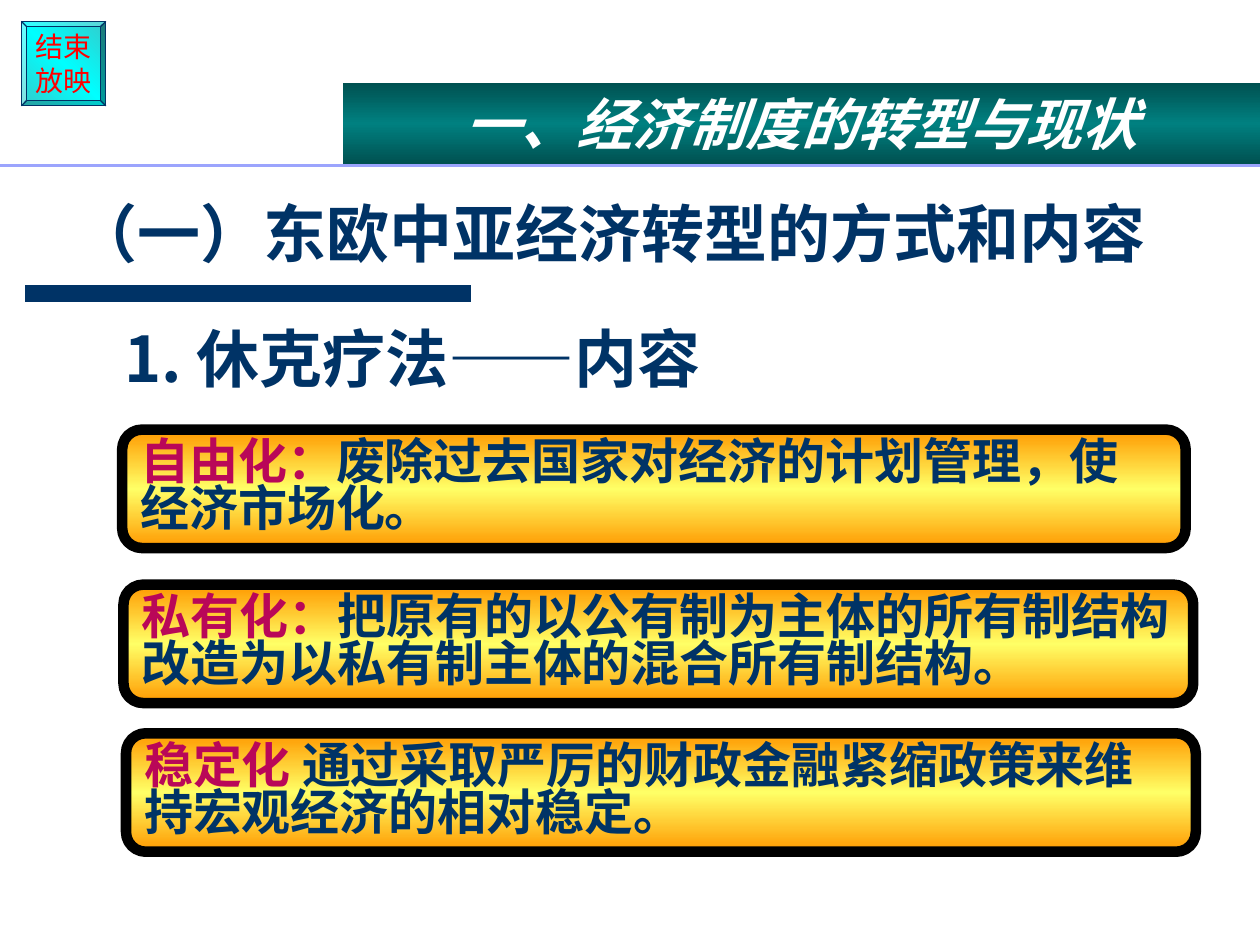
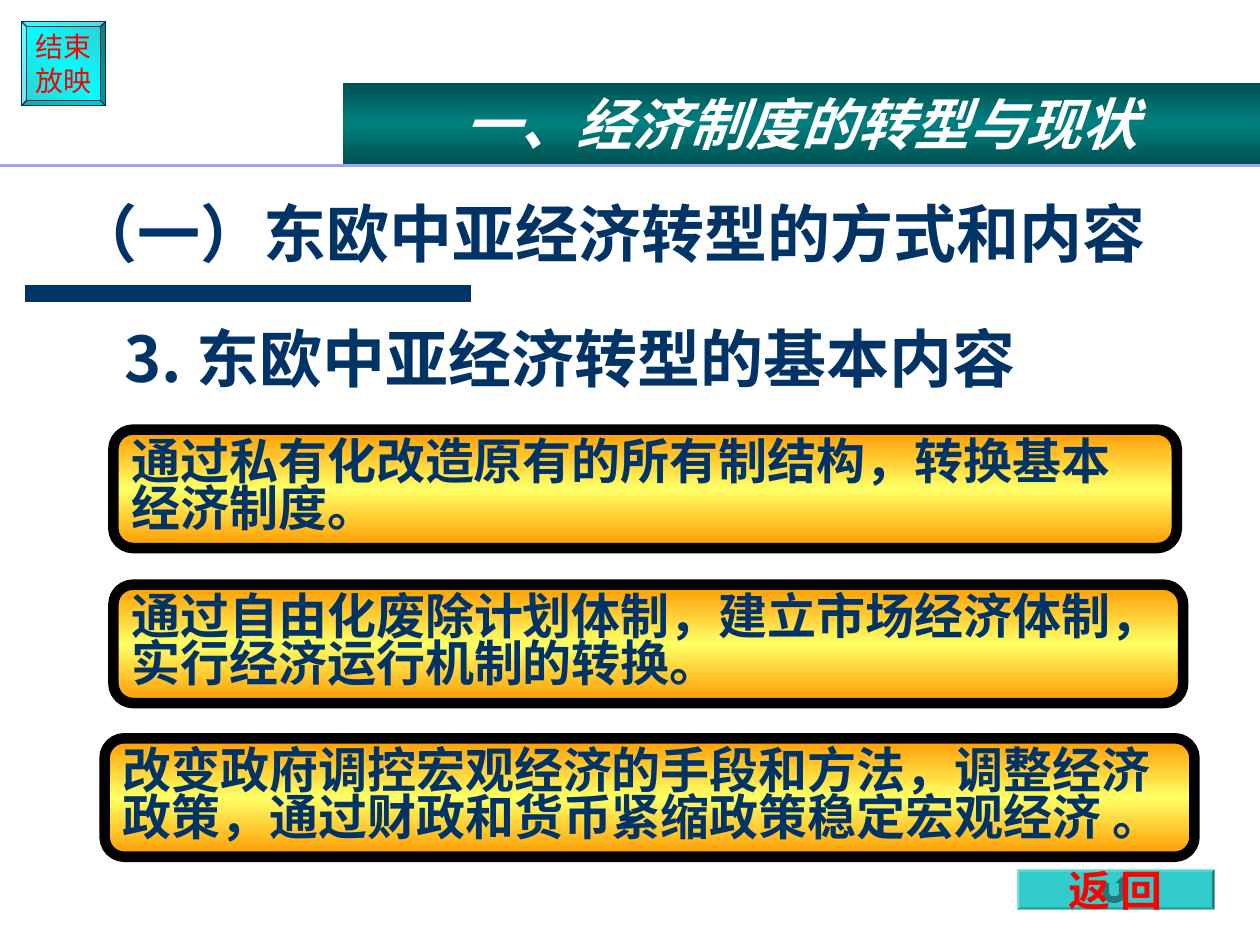
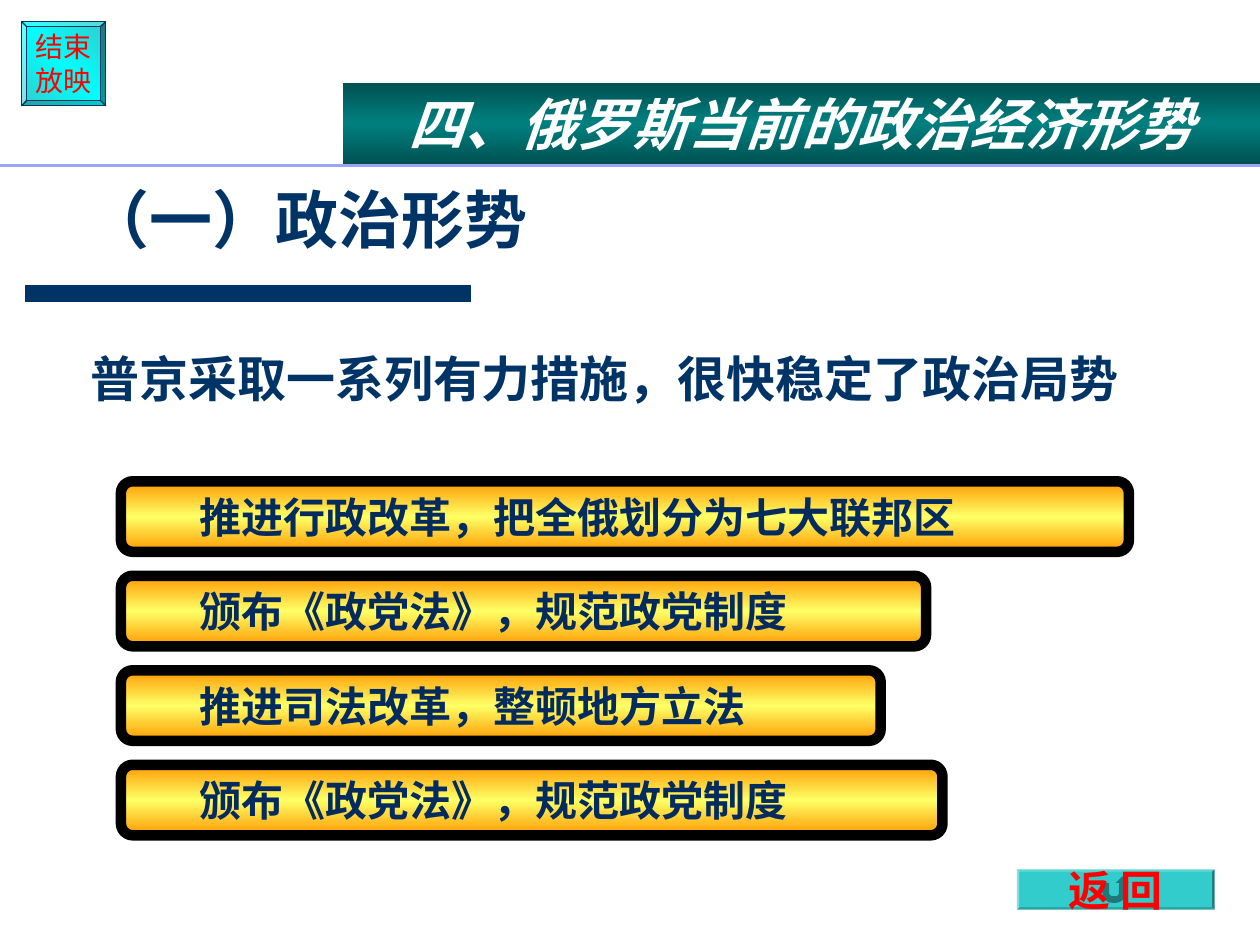
from copy import deepcopy

from pptx import Presentation
from pptx.dml.color import RGBColor
from pptx.enum.shapes import MSO_CONNECTOR, MSO_SHAPE
from pptx.enum.text import MSO_ANCHOR, PP_ALIGN
from pptx.oxml.ns import qn
from pptx.util import Inches, Pt

LEFT, CENTER = PP_ALIGN.LEFT, PP_ALIGN.CENTER
TOP, MIDDLE, BOTTOM = MSO_ANCHOR.TOP, MSO_ANCHOR.MIDDLE, MSO_ANCHOR.BOTTOM
RECTANGLE, BEVEL = MSO_SHAPE.RECTANGLE, MSO_SHAPE.BEVEL
RETURN_BUTTON = MSO_SHAPE.ACTION_BUTTON_RETURN
CARD = MSO_SHAPE.FLOWCHART_ALTERNATE_PROCESS
STRAIGHT = MSO_CONNECTOR.STRAIGHT

COLORS = {
    "navy": "003366", "deep_navy": "032B5E", "crimson": "B90758",
    "red": "FF0000", "white": "FFFFFF", "black": "000000",
    "teal": "33CCCC", "aqua": "00FFFF", "periwinkle": "9BA4FD",
    "dark_green": "005151", "green": "008080",
    "orange": "FF9900", "yellow": "FFFF66",
}
SANS, CJK = "Arial", "Noto Sans CJK SC"

# Each card: left, top, width, runs of (text, colour)
SLIDES = [
    {
        "banner": "一、经济制度的转型与现状",
        "title": ("（一）东欧中亚经济转型的方式和内容", (0.49, 1.47, 8.88, 0.73)),
        "subtitle": ("1. 休克疗法——内容", (0.89, 2.49, 5.45, 0.7), 36, CJK, 1),
        "cards": [
            (0.97, 3.41, 8.44, [("自由化：", "crimson"),
                                ("废除过去国家对经济的计划管理，使经济市场化。", "navy")]),
            (0.98, 4.64, 8.49, [("私有化：", "crimson"),
                                ("把原有的以公有制为主体的所有制结构改造为以私有制主体的混合所有制结构。", "navy")]),
            (1, 5.82, 8.49, [("稳定化 ", "crimson"),
                             ("通过采取严厉的财政金融紧缩政策来维持宏观经济的相对稳定。", "navy")]),
        ],
        "card_format": {"height": 0.94, "size": 28, "spacing": 0.8},
        "return": False,
    },
    {
        "banner": "一、经济制度的转型与现状",
        "title": ("（一）东欧中亚经济转型的方式和内容", (0.49, 1.47, 8.88, 0.73)),
        "subtitle": ("3. 东欧中亚经济转型的基本内容", (0.89, 2.49, 8.21, 0.7), 36, CJK, 1),
        "cards": [
            (0.9, 3.41, 8.44, [("通过私有化改造原有的所有制结构，转换基本经济制度。", "navy")]),
            (0.9, 4.64, 8.49, [("通过自由化废除计划体制，建立市场经济体制，实行经济运行机制的转换。", "navy")]),
            (0.83, 5.86, 8.65, [("改变政府调控宏观经济的手段和方法，调整经济政策，通过财政和货币紧缩政策稳定宏观经济 。", "navy")]),
        ],
        "card_format": {"height": 0.94, "size": 28, "spacing": 0.8},
        "return": True,
    },
    {
        "banner": "四、俄罗斯当前的政治经济形势",
        "title": ("（一）政治形势", (0.59, 1, 8.51, 1.09)),
        "subtitle": ("普京采取一系列有力措施，很快稳定了政治局势", (0.62, 2.81, 8.95, 0.71), 28, SANS, 0.8),
        "cards": [
            (0.96, 3.82 + 0.75 * row, width, [(text, "deep_navy")])
            for row, (width, text) in enumerate([
                (8, "推进行政改革，把全俄划分为七大联邦区"),
                (6.39, "颁布《政党法》，规范政党制度"),
                (6.03, "推进司法改革，整顿地方立法"),
                (6.52, "颁布《政党法》，规范政党制度"),
            ])
        ],
        "card_format": {"height": 0.56, "size": 24, "indent": 0.5},
        "return": True,
    },
]


def rgb(name):
    return RGBColor.from_string(COLORS[name])


def write(shape, text, size, color="navy", font=SANS, bold=True, italic=False,
          align=LEFT, anchor=TOP, spacing=1, indent=0, wrap=True):
    """Fill a shape with text: a string (one paragraph a line) or (text, colour) runs."""
    frame = shape.text_frame
    frame.word_wrap = wrap
    frame.vertical_anchor = anchor
    lines = [[(line, color)] for line in text.split("\n")] if isinstance(text, str) else [text]
    for number, runs in enumerate(lines):
        paragraph = frame.add_paragraph() if number else frame.paragraphs[0]
        paragraph.alignment = align
        paragraph.line_spacing = spacing
        if indent:
            paragraph._p.get_or_add_pPr().set("marL", str(Inches(indent)))
        for words, run_color in runs:
            run = paragraph.add_run()
            run.text = words
            run.font.size = Pt(size)
            run.font.bold, run.font.italic = bold, italic
            run.font.name = font
            run.font.color.rgb = rgb(run_color)
            east_asian = run.font._element.makeelement(qn("a:ea"), {"typeface": CJK})
            run.font._element.find(qn("a:latin")).addnext(east_asian)


def add_box(slide, preset, box, fill, angle=270, line=None, line_width=1):
    """Add a preset shape; fill is a colour, or (edge, middle) for a mirrored gradient."""
    shape = slide.shapes.add_shape(preset, *map(Inches, box))
    shape.shadow.inherit = False
    if isinstance(fill, str):
        shape.fill.solid()
        shape.fill.fore_color.rgb = rgb(fill)
    else:
        edge, middle = fill
        shape.fill.gradient()
        shape.fill.gradient_angle = angle
        stops = shape._element.spPr.find(".//" + qn("a:gsLst"))
        stops.append(deepcopy(stops[0]))
        for stop, color, position in zip(shape.fill.gradient_stops, (edge, middle, edge), (0, 0.5, 1)):
            stop.color.rgb = rgb(color)
            stop.position = position
    if line:
        shape.line.color.rgb = rgb(line)
        shape.line.width = Pt(line_width)
    else:
        shape.line.fill.background()
    return shape


def add_rule(slide, start, end, y, color, width):
    rule = slide.shapes.add_connector(STRAIGHT, Inches(start), Inches(y), Inches(end), Inches(y))
    rule.line.color.rgb = rgb(color)
    rule.line.width = Pt(width)
    properties = rule._element.spPr
    properties.append(properties.makeelement(qn("a:effectLst"), {}))


def add_text(slide, text, box, **text_format):
    write(slide.shapes.add_textbox(*map(Inches, box)), text, **text_format)


def add_end_button(slide):
    button = add_box(slide, BEVEL, (0.17, 0.17, 0.67, 0.67), ("teal", "aqua"),
                     angle=225, line="navy", line_width=0.75)
    button.adjustments[0] = 0.06
    write(button, "结束\n放映", 16, color="red", bold=False, align=CENTER, anchor=MIDDLE, wrap=False)


def add_return_button(slide):
    left, top, width, height, edge = 8.07, 6.9, 1.57, 0.32, 0.02
    frame = add_box(slide, BEVEL, (left, top, width, height), "teal")
    frame.adjustments[0] = edge / height
    face = add_box(slide, RETURN_BUTTON,
                   (left + edge, top + edge, width - 2 * edge, height - 2 * edge), "teal")
    write(face, "返 回", 24, color="red", align=CENTER, anchor=MIDDLE, wrap=False)


def add_banner(slide, text):
    banner = add_box(slide, RECTANGLE, (2.72, 0.66, 7.28, 0.64), ("dark_green", "green"))
    write(banner, text, 32, color="white", font=CJK, italic=True, align=CENTER)
    add_rule(slide, 0, 10, 1.31, "periwinkle", 1.75)


def add_cards(slide, cards, height, **text_format):
    for left, top, width, runs in cards:
        card = add_box(slide, CARD, (left, top, width, height), ("orange", "yellow"),
                       line="black", line_width=6)
        write(card, runs, anchor=MIDDLE, **text_format)


def build_slide(deck, content):
    slide = deck.slides.add_slide(deck.slide_layouts[6])
    add_rule(slide, 0.2, 3.74, 2.33, "navy", 10)
    add_end_button(slide)
    title, title_box = content["title"]
    add_text(slide, title, title_box, size=36, font=CJK, anchor=BOTTOM, spacing=0.9)
    subtitle, subtitle_box, size, font, spacing = content["subtitle"]
    add_text(slide, subtitle, subtitle_box, size=size, font=font, spacing=spacing)
    add_cards(slide, content["cards"], **content["card_format"])
    if content["return"]:
        add_return_button(slide)
    add_banner(slide, content["banner"])


def main():
    deck = Presentation()
    deck.slide_width, deck.slide_height = Inches(10), Inches(7.5)
    for content in SLIDES:
        build_slide(deck, content)
    deck.save("out.pptx")


if __name__ == "__main__":
    main()
